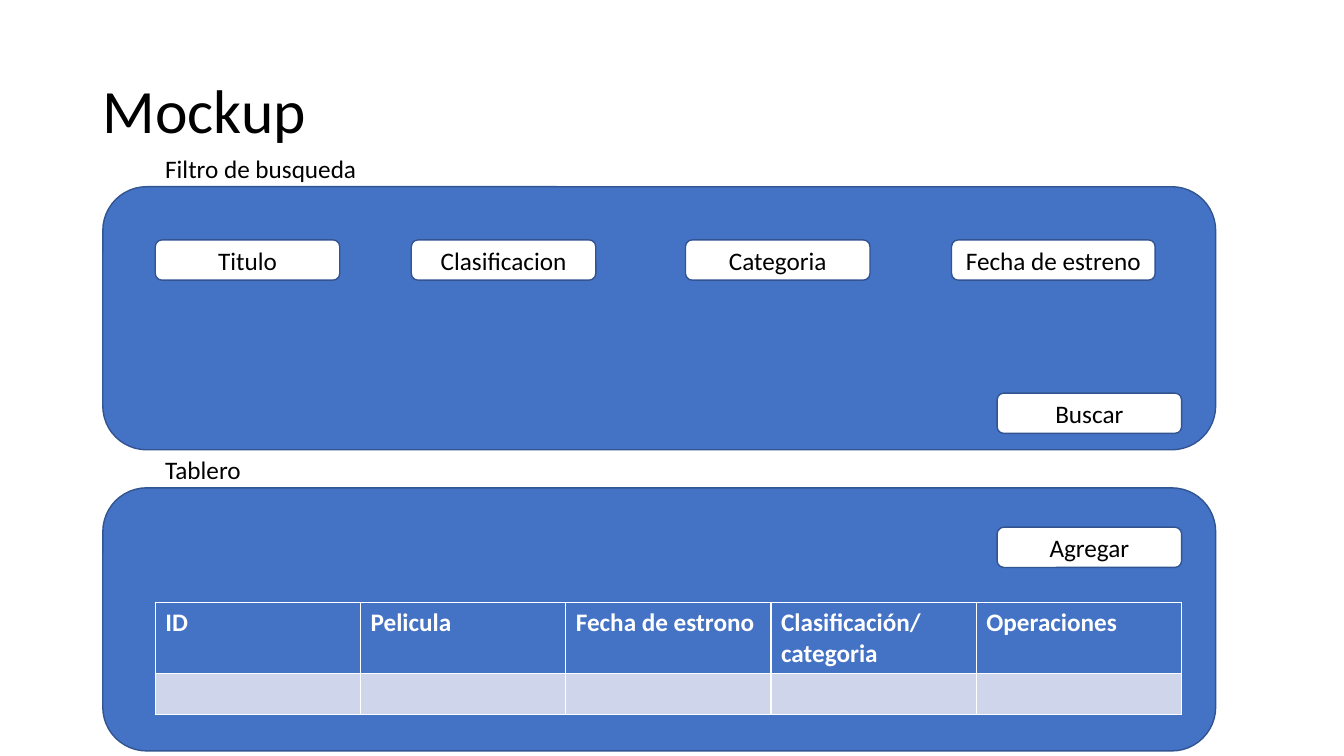
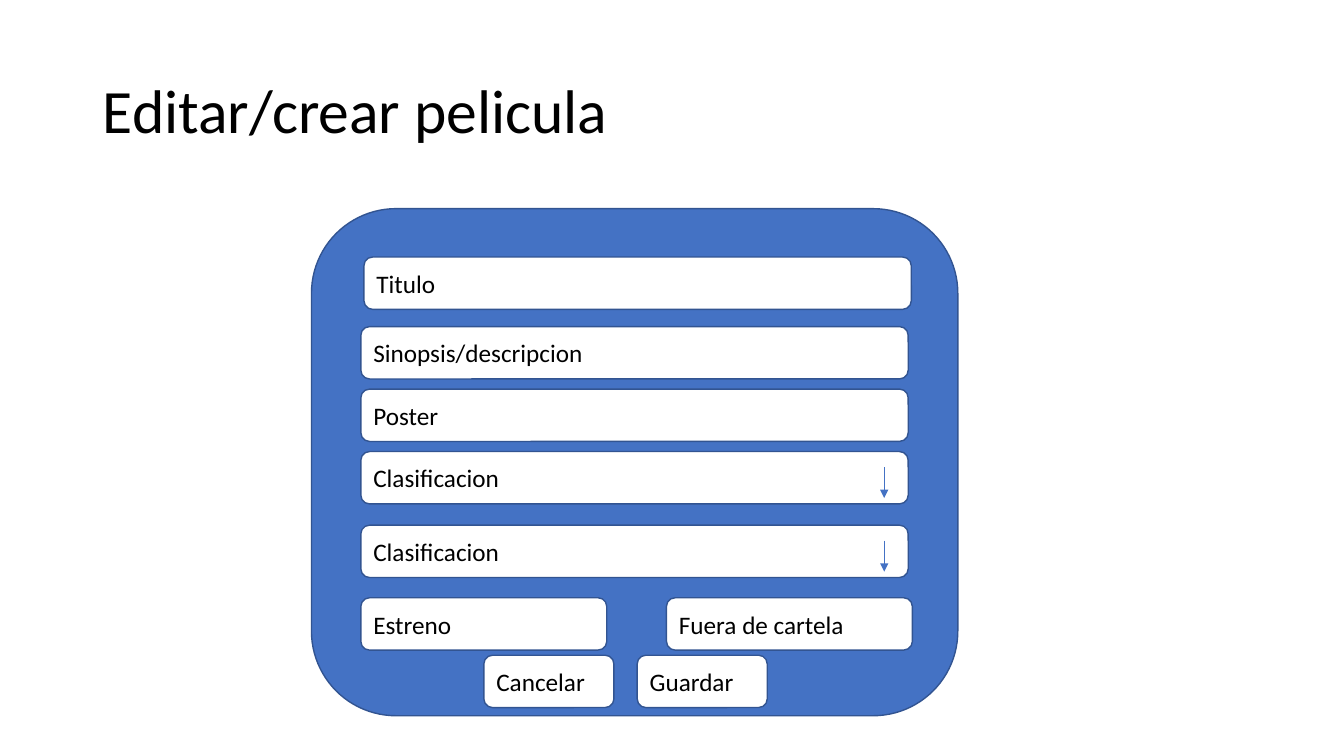
from lxml import etree
from pptx import Presentation
from pptx.dml.color import RGBColor
from pptx.enum.shapes import MSO_CONNECTOR, MSO_SHAPE
from pptx.enum.text import MSO_ANCHOR, MSO_AUTO_SIZE, PP_ALIGN
from pptx.oxml.ns import qn
from pptx.util import Inches, Pt

ROUNDED = MSO_SHAPE.ROUNDED_RECTANGLE
STRAIGHT = MSO_CONNECTOR.STRAIGHT
MIDDLE = MSO_ANCHOR.MIDDLE
FIT_SHAPE = MSO_AUTO_SIZE.SHAPE_TO_FIT_TEXT
NO_FIT = MSO_AUTO_SIZE.NONE
LEFT, CENTER = PP_ALIGN.LEFT, PP_ALIGN.CENTER

WIDTH, HEIGHT = Inches(13.33), Inches(7.5)
BLUE, OUTLINE, WHITE, BLACK, PALE = "4472C4", "325491", "FFFFFF", "000000", "CFD5EA"
TITLE_FONT = {"name": "Calibri", "size": Pt(44), "bold": False}
BODY_FONT = {"name": "Calibri", "size": Pt(18), "bold": False}
HEADER_FONT = {**BODY_FONT, "bold": True}
TITLE_PARAGRAPH = {"alignment": LEFT, "line_spacing": 0.9}
TITLE_FRAME = {"vertical_anchor": MIDDLE, "word_wrap": True, "auto_size": NO_FIT}
BOX_FRAME = {"vertical_anchor": MIDDLE, "word_wrap": True}
LABEL_FRAME = {"word_wrap": False, "auto_size": FIT_SHAPE}

TITLE_AREA = (6.9, 5.33, 86.25, 19.33)
PANEL_LEFT, PANEL_WIDTH, PANEL_HEIGHT = 7.65, 82.8, 34.8
CONTENT_LEFT, CONTENT_WIDTH = 11.55, 76.37
LABEL_RISE, LABEL_HEIGHT = 5.07, 5.33
BUTTON_WIDTH, BUTTON_HEIGHT = 13.73, 5.33
BUTTON_LEFT = CONTENT_LEFT + CONTENT_WIDTH - BUTTON_WIDTH
FIELD_LEFT, FIELD_WIDTH, FIELD_HEIGHT = 26.85, 40.73, 6.93


def x(share):
    """Turn a percentage of the slide width into a length."""
    return round(WIDTH * share / 100)


def y(share):
    """Turn a percentage of the slide height into a length."""
    return round(HEIGHT * share / 100)


def place(left, top, width, height):
    """Turn percentage shares into a position and size."""
    return x(left), y(top), x(width), y(height)


def color(hex_code):
    """Return the colour for a hex string."""
    return RGBColor.from_string(hex_code)


def apply(target, values):
    """Set each named attribute on the target."""
    for attribute, value in values.items():
        setattr(target, attribute, value)


def fill(target, hex_code):
    """Give the target a solid fill."""
    target.fill.solid()
    target.fill.fore_color.rgb = color(hex_code)


def write(frame, text, font, ink, paragraph_format):
    """Put one formatted paragraph in a text frame."""
    paragraph = frame.paragraphs[0]
    apply(paragraph, paragraph_format)
    run = paragraph.add_run()
    run.text = text
    apply(run.font, font)
    run.font.color.rgb = color(ink)


def add_titled_slide(deck, heading):
    """Add a title-only slide with the shared title style."""
    slide = deck.slides.add_slide(deck.slide_layouts[5])
    title = slide.shapes.title
    bounds = ("left", "top", "width", "height")
    apply(title, dict(zip(bounds, place(*TITLE_AREA))))
    apply(title.text_frame, TITLE_FRAME)
    write(title.text_frame, heading, TITLE_FONT, BLACK, TITLE_PARAGRAPH)
    return slide


def add_rounded(slide, area, background):
    """Add an outlined rounded rectangle."""
    rounded = slide.shapes.add_shape(ROUNDED, *place(*area))
    rounded.shadow.inherit = False
    fill(rounded, background)
    fill(rounded.line, OUTLINE)
    rounded.line.width = Pt(1)
    return rounded


def add_box(slide, text, area, alignment=LEFT):
    """Add a white field or button with its caption."""
    frame = add_rounded(slide, area, WHITE).text_frame
    apply(frame, BOX_FRAME)
    write(frame, text, BODY_FONT, BLACK, {"alignment": alignment})


def add_section(slide, caption, caption_width, top):
    """Add a wide blue panel with its caption above."""
    add_rounded(slide, (PANEL_LEFT, top, PANEL_WIDTH, PANEL_HEIGHT), BLUE)
    area = (CONTENT_LEFT, top - LABEL_RISE, caption_width, LABEL_HEIGHT)
    frame = slide.shapes.add_textbox(*place(*area)).text_frame
    apply(frame, LABEL_FRAME)
    write(frame, caption, BODY_FONT, BLACK, {"alignment": LEFT})


def add_dropdown_arrow(slide, field_top):
    """Add the thin downward arrow at the end of a field."""
    column, start = x(65.79), field_top + 2.05
    arrow = slide.shapes.add_connector(STRAIGHT, column, y(start), column, y(start + 4.1))
    fill(arrow.line, BLUE)
    arrow.line.width = Pt(0.5)
    properties = arrow._element.spPr
    etree.SubElement(properties.find(qn("a:ln")), qn("a:tailEnd"), type="triangle")
    etree.SubElement(properties, qn("a:effectLst"))


def add_movie_table(slide, headings, top, row_heights):
    """Add the movie table with a header and an empty row."""
    area = place(CONTENT_LEFT, top, CONTENT_WIDTH, sum(row_heights))
    table = slide.shapes.add_table(len(row_heights), len(headings), *area).table
    for row, height in zip(table.rows, row_heights):
        row.height = y(height)
    for column, heading in enumerate(headings):
        header, entry = table.cell(0, column), table.cell(1, column)
        write(header.text_frame, heading, HEADER_FONT, WHITE, {"alignment": LEFT})
        apply(entry.text_frame.paragraphs[0].font, BODY_FONT)
        fill(header, BLUE)
        fill(entry, PALE)


def build_mockup(deck):
    """Build the search and board slide."""
    slide = add_titled_slide(deck, "Mockup")
    add_section(slide, "Filtro de busqueda", 15.9, 24.7)
    add_section(slide, "Tablero", 7.2, 64.53)
    filters = (
        ("Titulo", CONTENT_LEFT, BUTTON_WIDTH),
        ("Clasificacion", 30.6, BUTTON_WIDTH),
        ("Categoria", 51, BUTTON_WIDTH),
        ("Fecha de estreno", 70.8, 15.15),
    )
    for text, left, width in filters:
        add_box(slide, text, (left, 31.73, width, BUTTON_HEIGHT), CENTER)
    headings = ("ID", "Pelicula", "Fecha de estrono", "Clasificación/categoria", "Operaciones")
    add_movie_table(slide, headings, 79.73, (9.33, 5.47))
    for text, top in (("Buscar", 52), ("Agregar", 69.73)):
        add_box(slide, text, (BUTTON_LEFT, top, BUTTON_WIDTH, BUTTON_HEIGHT), CENTER)


def build_editor(deck):
    """Build the movie form slide."""
    slide = add_titled_slide(deck, "Editar/crear pelicula")
    add_rounded(slide, (23.18, 27.6, 48.09, 67.07), BLUE)
    fields = (
        ("Titulo", 27.08, 34, FIELD_WIDTH),
        ("Sinopsis/descripcion", FIELD_LEFT, 43.2, FIELD_WIDTH),
        ("Poster", FIELD_LEFT, 51.47, FIELD_WIDTH),
        ("Clasificacion", FIELD_LEFT, 59.73, FIELD_WIDTH),
        ("Clasificacion", FIELD_LEFT, 69.47, FIELD_WIDTH),
        ("Estreno", FIELD_LEFT, 79.07, 18.3),
        ("Fuera de cartela", 49.59, 79.07, 18.3),
        ("Cancelar", 36, 86.67, 9.68),
        ("Guardar", 47.41, 86.67, 9.68),
    )
    for text, left, top, width in fields:
        add_box(slide, text, (left, top, width, FIELD_HEIGHT))
        if text == "Clasificacion":
            add_dropdown_arrow(slide, top)


def main():
    """Build and save the deck."""
    deck = Presentation()
    apply(deck, {"slide_width": WIDTH, "slide_height": HEIGHT})
    build_mockup(deck)
    build_editor(deck)
    deck.save("out.pptx")


main()
